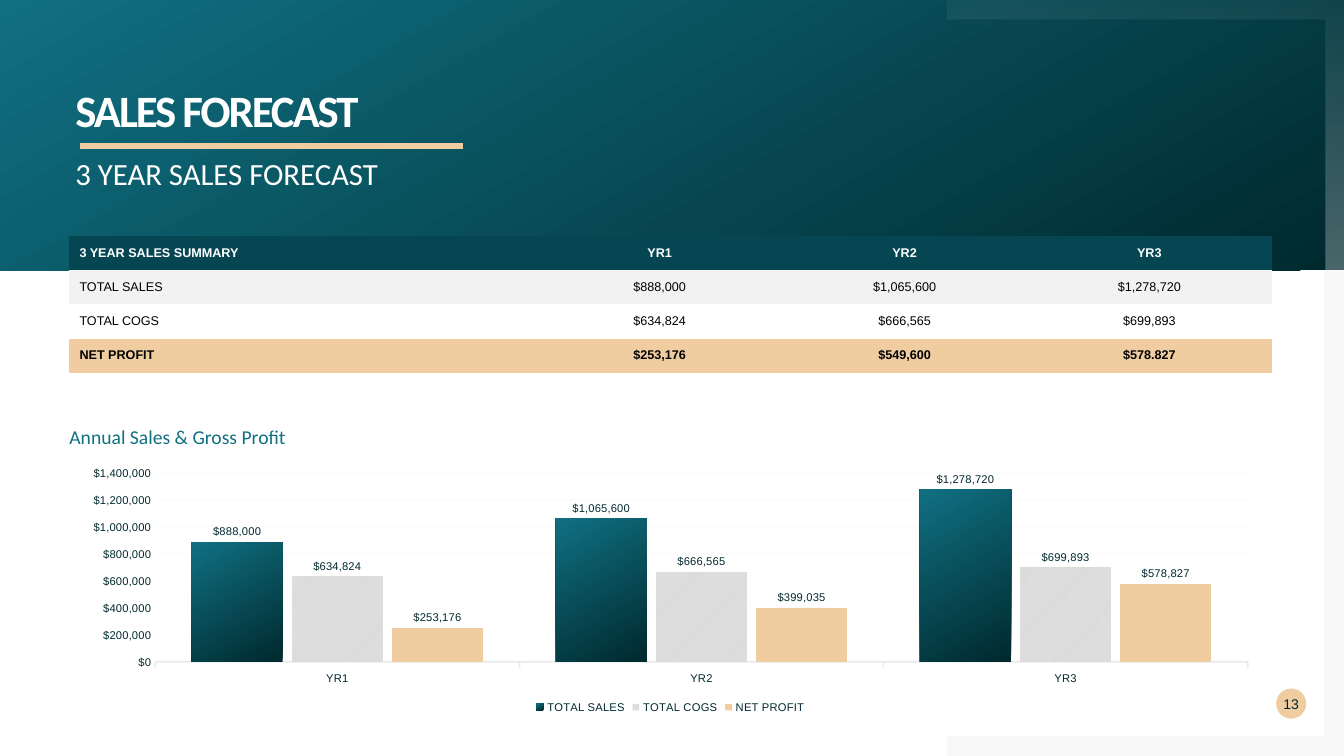
import pptx
import pptx.util
import pptx.chart.data
import pptx.dml.color
import pptx.enum.chart
import pptx.enum.dml
import pptx.enum.shapes
import pptx.enum.text
import pptx.oxml
import pptx.oxml.ns

Cm, Pt = pptx.util.Cm, pptx.util.Pt
RGB = pptx.dml.color.RGBColor.from_string
qn = pptx.oxml.ns.qn
CENTER = pptx.enum.text.PP_ALIGN.CENTER
MIDDLE = pptx.enum.text.MSO_ANCHOR.MIDDLE

C = {"dark": "00292E", "teal": "107082", "header": "054652", "sand": "F0CDA1",
     "white": "FFFFFF", "black": "000000", "pale": "F2F2F2", "silver": "D9D9D9",
     "axis": "BFBFBF", "gray": "808080"}


def gradient(fill, colors, angle, alphas=()):
    fill.gradient()
    fill.gradient_angle = angle
    for stop, color in zip(fill.gradient_stops, colors):
        stop.color.rgb = RGB(C[color])
    for stop, alpha in zip(fill.gradient_stops, alphas):
        set_alpha(stop.color, alpha)


def set_alpha(color, percent):
    clr = color._xFill.find(qn("a:srgbClr")) if hasattr(color, "_xFill") else color._color._xClr
    alpha = clr.makeelement(qn("a:alpha"), {"val": str(percent * 1000)})
    clr.append(alpha)


prs = pptx.Presentation()
prs.slide_width, prs.slide_height = Cm(33.87), Cm(19.05)
s = prs.slides.add_slide(prs.slide_layouts[5])
title = s.shapes.title

frames = []
for points in (
    [(33.37, 6.81), (33.87, 6.81), (33.87, 19.05), (23.87, 19.05), (23.87, 18.55), (33.37, 18.55)],
    [(23.87, 0), (33.87, 0), (33.87, 6.81), (33.37, 6.81), (33.37, 0.5), (23.87, 0.5)],
):
    pts = [(Cm(x), Cm(y)) for x, y in points]
    fb = s.shapes.build_freeform(*pts[0])
    fb.add_line_segments(pts[1:])
    sp = fb.convert_to_shape()
    sp.shadow.inherit = False
    sp.line.fill.background()
    frames.append(sp)
lower, upper = frames
lower.fill.solid()
lower.fill.fore_color.rgb = RGB(C["gray"])
set_alpha(lower.fill.fore_color, 5)
gradient(upper.fill, ("white", "white"), 270, (5, 30))

banner = s.shapes.add_shape(pptx.enum.shapes.MSO_SHAPE.RECTANGLE, 0, 0, prs.slide_width, Cm(6.81))
banner.shadow.inherit = False
banner.line.fill.background()
gradient(banner.fill, ("dark", "teal"), 120)
upper._element.addprevious(banner._element)
upper._element.addnext(title._element)

badge = s.shapes.add_shape(pptx.enum.shapes.MSO_SHAPE.OVAL, Cm(32.16), Cm(17.35), Cm(0.76), Cm(0.76))
badge.shadow.inherit = False
badge.line.fill.background()
badge.fill.solid()
badge.fill.fore_color.rgb = RGB(C["sand"])

title.left, title.top, title.width, title.height = Cm(1.9), Cm(2.24), Cm(21), Cm(1.02)
subtitle = s.shapes.add_textbox(Cm(1.9), Cm(3.91), Cm(21), Cm(0.99))
caption = s.shapes.add_textbox(Cm(1.75), Cm(10.72), Cm(5.59), Cm(0.61))
for sp, text, size, font, color, wrap in (
    (title, "SALES FORECAST", 32, "Calibri", "white", True),
    (badge, "13", 10, "Arial", "dark", False),
    (subtitle, "3 YEAR SALES FORECAST", 22, "Calibri", "white", True),
    (caption, "Annual Sales & Gross Profit", 14, "Calibri", "teal", False),
):
    tf = sp.text_frame
    tf.margin_left = tf.margin_right = tf.margin_top = tf.margin_bottom = 0
    tf.word_wrap = wrap
    tf.auto_size = pptx.enum.text.MSO_AUTO_SIZE.NONE
    tf.vertical_anchor = pptx.enum.text.MSO_ANCHOR.TOP
    p = tf.paragraphs[0]
    p.alignment = pptx.enum.text.PP_ALIGN.LEFT
    r = p.add_run()
    r.text = text
    r.font.size, r.font.name = Pt(size), font
    r.font.color.rgb = RGB(C[color])
badge.text_frame.vertical_anchor = MIDDLE
badge.text_frame.paragraphs[0].alignment = CENTER
p = title.text_frame.paragraphs[0]
p.line_spacing = 0.9
p.runs[0].font.bold = True
p.runs[0].font._element.set("spc", "-150")

rule = s.shapes.add_connector(pptx.enum.shapes.MSO_CONNECTOR.STRAIGHT, Cm(2.01), Cm(3.68), Cm(11.66), Cm(3.68))
rule.line.color.rgb = RGB(C["sand"])
rule.line.width = Pt(4.32)
rule._element.spPr.append(pptx.oxml.parse_xml(
    '<a:effectLst xmlns:a="http://schemas.openxmlformats.org/drawingml/2006/main"/>'))

rows = [
    (("3 YEAR SALES SUMMARY", "YR1", "YR2", "YR3"), "header", "white", True),
    (("TOTAL SALES", "$888,000", "$1,065,600", "$1,278,720"), "pale", "black", False),
    (("TOTAL COGS", "$634,824", "$666,565", "$699,893"), "white", "black", False),
    (("NET PROFIT", "$253,176", "$549,600", "$578.827"), "sand", "black", True),
]
gf = s.shapes.add_table(4, 4, Cm(1.75), Cm(5.95), Cm(30.3), Cm(3.43))
table = gf.table
table.horz_banding = False
table._tbl.tblPr.find(qn("a:tableStyleId")).text = "{2D5ABB26-0587-4C30-8999-92F81FD0307C}"
for column, width in zip(table.columns, (11.79, 6.17, 6.17, 6.17)):
    column.width = Cm(width)
for i, (texts, fill, color, bold) in enumerate(rows):
    table.rows[i].height = Cm(0.86)
    for j, text in enumerate(texts):
        cell = table.cell(i, j)
        cell.fill.solid()
        cell.fill.fore_color.rgb = RGB(C[fill])
        cell.vertical_anchor = MIDDLE
        p = cell.text_frame.paragraphs[0]
        if j:
            p.alignment = CENTER
        r = p.add_run()
        r.text = text
        r.font.size, r.font.name, r.font.bold = Pt(9), "Arial", bold
        r.font.color.rgb = RGB(C[color])

money = '"$"#,##0'
cd = pptx.chart.data.CategoryChartData(number_format=money)
cd.categories = ["YR1", "YR2", "YR3"]
cd.add_series("TOTAL SALES", (888000, 1065600, 1278720))
cd.add_series("TOTAL COGS", (634824, 666565, 699893))
cd.add_series("NET PROFIT", (253176, 399035, 578827))
chart = s.shapes.add_chart(pptx.enum.chart.XL_CHART_TYPE.COLUMN_CLUSTERED,
                           Cm(1.75), Cm(11.63), Cm(30.3), Cm(6.45), cd).chart
chart.has_title = False
chart.font.size, chart.font.name = Pt(8), "Arial"
chart.font.color.rgb = RGB(C["dark"])
chart.has_legend = True
chart.legend.position = pptx.enum.chart.XL_LEGEND_POSITION.BOTTOM
chart.legend.include_in_layout = False

cat, val = chart.category_axis, chart.value_axis
cat.major_tick_mark = pptx.enum.chart.XL_TICK_MARK.OUTSIDE
val.major_tick_mark = pptx.enum.chart.XL_TICK_MARK.NONE
val.minimum_scale, val.maximum_scale, val.major_unit = 0, 1400000, 200000
val.tick_labels.number_format = money
val.tick_labels.number_format_is_linked = False
val.format.line.fill.background()
for line, color, width, alpha in (
    (cat.format.line, "axis", 1.25, 27),
    (val.major_gridlines.format.line, "pale", 0.75, 30),
):
    line.color.rgb = RGB(C[color])
    line.width = Pt(width)
    set_alpha(line.color, alpha)

plot = chart.plots[0]
plot.vary_by_categories = False
plot.gap_width, plot.overlap = 80, -10
sales, cogs, profit = plot.series
gradient(sales.format.fill, ("dark", "teal"), 120)
fill = cogs.format.fill
fill.patterned()
fill.pattern = pptx.enum.dml.MSO_PATTERN.DARK_UPWARD_DIAGONAL
fill.fore_color.rgb, fill.back_color.rgb = RGB(C["pale"]), RGB(C["silver"])
profit.format.fill.solid()
profit.format.fill.fore_color.rgb = RGB(C["sand"])
for series in plot.series:
    series.invert_if_negative = False
    labels = series.data_labels
    labels.show_value = True
    labels.position = pptx.enum.chart.XL_LABEL_POSITION.OUTSIDE_END
    labels.number_format = money
    labels.number_format_is_linked = False

prs.save("out.pptx")
